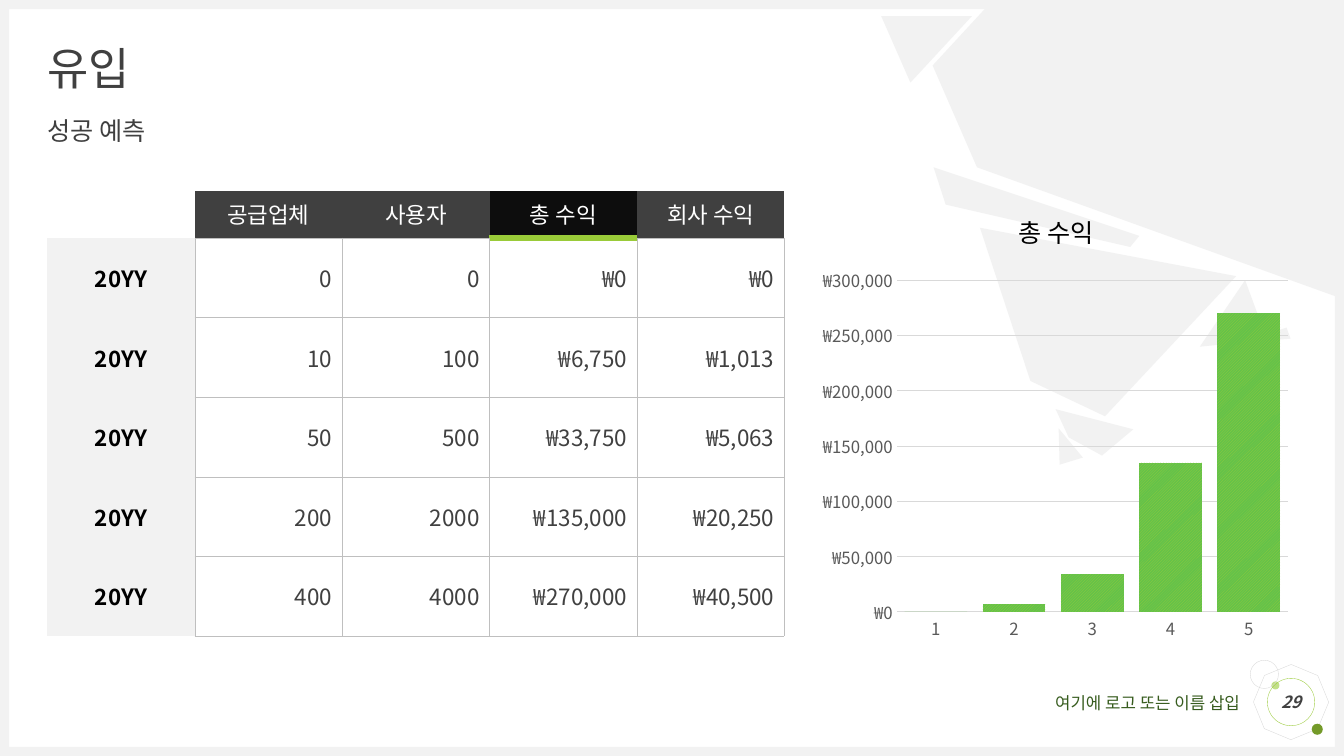
from lxml import etree
from pptx import Presentation
from pptx.chart.data import CategoryChartData
from pptx.dml.color import RGBColor
from pptx.enum.chart import XL_CHART_TYPE, XL_TICK_MARK
from pptx.enum.dml import MSO_PATTERN
from pptx.enum.shapes import MSO_SHAPE
from pptx.enum.text import MSO_ANCHOR, MSO_AUTO_SIZE, PP_ALIGN
from pptx.oxml import parse_xml
from pptx.oxml.ns import nsdecls, qn
from pptx.util import Inches, Pt

rgb = RGBColor.from_string
FONT = "Noto Sans CJK KR"
WIDTH, HEIGHT, MARGIN, EDGE = 13.33, 7.5, 0.47, 0.09
PALE, GRAY, DARK = "F2F2F2", "BFBFBF", "404040"
LIME, GREEN = "9ACB39", "64C24A"


def paint(shape, fill=None, line=None):
    shape.shadow.inherit = False
    if fill:
        shape.fill.solid()
        shape.fill.fore_color.rgb = rgb(fill)
    else:
        shape.fill.background()
    if line:
        shape.line.color.rgb = rgb(line)
        shape.line.width = Pt(0.25)
    else:
        shape.line.fill.background()


def write(text_frame, text, size, color, align, bold=False, italic=False):
    """Set a single paragraph and its font, for Latin and Korean alike."""
    text_frame.text = text
    paragraph = text_frame.paragraphs[0]
    paragraph.alignment = align
    run = paragraph.runs[0]
    run.font.size, run.font.name = Pt(size), FONT
    run.font.bold, run.font.italic = bold, italic
    run.font.color.rgb = rgb(color)
    etree.SubElement(run._r.get_or_add_rPr(), qn("a:ea"), typeface=FONT)


presentation = Presentation()
presentation.slide_width, presentation.slide_height = Inches(WIDTH), Inches(HEIGHT)
slide = presentation.slides.add_slide(presentation.slide_layouts[1])
shapes = slide.shapes

# Frame and page-number ornament
frame_and_ornament = [
    (MSO_SHAPE.OCTAGON, 12.46, 6.62, 0.69, 0.69, None, "D9D9D9"),
    (MSO_SHAPE.OVAL, 12.61, 6.76, 0.08, 0.08, "C2E088", None),
    (MSO_SHAPE.OVAL, 13.01, 7.18, 0.11, 0.11, "749A29", None),
    (MSO_SHAPE.OVAL, 12.4, 6.55, 0.28, 0.28, None, "D9D9D9"),
    (MSO_SHAPE.RECTANGLE, 0, HEIGHT - EDGE, WIDTH, EDGE, PALE, None),
    (MSO_SHAPE.RECTANGLE, 0, 0, WIDTH, EDGE, PALE, None),
    (MSO_SHAPE.RECTANGLE, 0, 0, EDGE, HEIGHT, PALE, None),
    (MSO_SHAPE.RECTANGLE, WIDTH - EDGE, 0, EDGE, HEIGHT, PALE, None),
]
for kind, left, top, width, height, fill, line in frame_and_ornament:
    shape = shapes.add_shape(kind, Inches(left), Inches(top), Inches(width), Inches(height))
    paint(shape, fill, line)
    if kind == MSO_SHAPE.OCTAGON:
        shape.rotation = 22.7

# Shards behind the chart
shards = [
    [(8.74, 0.16), (9.64, 0.16), (9.03, 0.82)],
    [(9.85, 0), (13.33, 0), (13.33, 2.97), (9.69, 1.66), (9.25, 0.65)],
    [(9.72, 2.26), (12.26, 2.74), (10.96, 4.13), (10.22, 3.78)],
    [(10.5, 4.25), (10.74, 4.54), (10.51, 4.61)],
    [(10.47, 4.06), (11.24, 4.26), (10.93, 4.52), (10.6, 4.34)],
    [(9.26, 1.66), (11.3, 2.34), (11.21, 2.45), (9.38, 2.03)],
    [(12.76, 3.25), (12.8, 3.36), (12.32, 3.4)],
    [(12.35, 2.78), (12.53, 3.27), (12.1, 3.42), (11.9, 3.44)],
]
for shard in shards:
    first, *others = [(Inches(x), Inches(y)) for x, y in shard]
    builder = shapes.build_freeform(*first)
    builder.add_line_segments(others)
    paint(builder.convert_to_shape(), PALE)

# Title and subtitle
headings = [
    (shapes.title, "유입", 0.47, 0.47, 32, MSO_ANCHOR.MIDDLE),
    (slide.placeholders[1], "성공 예측", 1.18, 0.3, 18, MSO_ANCHOR.TOP),
]
for holder, text, top, height, size, anchor in headings:
    holder.left, holder.top = Inches(MARGIN), Inches(top)
    holder.width, holder.height = Inches(12.4), Inches(height)
    frame = holder.text_frame
    frame.margin_left = frame.margin_right = frame.margin_top = frame.margin_bottom = 0
    frame.auto_size, frame.vertical_anchor = MSO_AUTO_SIZE.NONE, anchor
    write(frame, text, size, DARK, PP_ALIGN.LEFT)
    paragraph = frame.paragraphs[0]
    properties = paragraph._p.get_or_add_pPr()
    properties.set("marL", "0")
    properties.set("indent", "0")
    etree.SubElement(properties, qn("a:buNone"))
    paragraph.line_spacing, paragraph.space_before = 0.9, Pt(0)

# Revenue table
rows = [
    ["", "공급업체", "사용자", "총 수익", "회사 수익"],
    ["20YY", "0", "0", "₩0", "₩0"],
    ["20YY", "10", "100", "₩6,750", "₩1,013"],
    ["20YY", "50", "500", "₩33,750", "₩5,063"],
    ["20YY", "200", "2000", "₩135,000", "₩20,250"],
    ["20YY", "400", "4000", "₩270,000", "₩40,500"],
]
HIGHLIGHT = 3
table = shapes.add_table(len(rows), len(rows[0]), Inches(MARGIN), Inches(1.89),
                         Inches(7.31), Inches(4.42)).table
table.first_row = table.horz_banding = False
for r, row in enumerate(rows):
    table.rows[r].height = Inches(0.79 if r else 0.47)
    for c, text in enumerate(row):
        cell = table.cell(r, c)
        cell.vertical_anchor = MSO_ANCHOR.MIDDLE
        thin, accent = (GRAY, 0.25), (LIME, 4.5)
        if r and c:
            fill, color, align = "FFFFFF", DARK, PP_ALIGN.RIGHT
            top = accent if (r, c) == (1, HIGHLIGHT) else thin
            borders = {"L": thin, "R": thin, "T": top, "B": thin}
        elif r:
            fill, color, align = PALE, "000000", PP_ALIGN.CENTER
            borders = {"R": thin}
        elif c:
            fill, color, align = DARK, "FFFFFF", PP_ALIGN.CENTER
            borders = {"B": thin}
            if c == HIGHLIGHT:
                fill, borders = "0D0D0D", {"B": accent}
        else:
            fill, borders = "FFFFFF", {}
        for side in "LRTB":
            line = etree.SubElement(cell._tc.get_or_add_tcPr(), qn(f"a:ln{side}"))
            if side in borders:
                line_color, points = borders[side]
                line.set("w", str(Pt(points)))
                solid = etree.SubElement(line, qn("a:solidFill"))
                etree.SubElement(solid, qn("a:srgbClr"), val=line_color)
            else:
                etree.SubElement(line, qn("a:noFill"))
        cell.fill.solid()
        cell.fill.fore_color.rgb = rgb(fill)
        if text:
            write(cell.text_frame, text, 16, color, align, bold=c == 0)

# Total revenue chart
data = CategoryChartData()
data.categories = ["1", "2", "3", "4", "5"]
data.add_series("총 수익", [0, 7000, 34000, 135000, 270000])
chart = shapes.add_chart(XL_CHART_TYPE.COLUMN_CLUSTERED, Inches(8.08), Inches(1.89),
                         Inches(4.79), Inches(4.57), data).chart
chart.has_legend = False
chart.font.name, chart.font.size = FONT, Pt(10)
chart.has_title = True
write(chart.chart_title.text_frame, "총 수익", 18, "000000", PP_ALIGN.CENTER)
plot = chart.plots[0]
plot.gap_width, plot.vary_by_categories = 25, False
bar_fill = plot.series[0].format.fill
bar_fill.patterned()
bar_fill.pattern = MSO_PATTERN.DARK_UPWARD_DIAGONAL
bar_fill.fore_color.rgb, bar_fill.back_color.rgb = rgb(LIME), rgb(GREEN)

values, categories = chart.value_axis, chart.category_axis
for axis in (values, categories):
    axis.major_tick_mark = axis.minor_tick_mark = XL_TICK_MARK.NONE
    font = axis.tick_labels.font
    font.name, font.size, font.color.rgb = FONT, Pt(12), rgb("595959")
values.minimum_scale, values.maximum_scale, values.major_unit = 0, 300000, 50000
values.tick_labels.number_format = '"₩"#,##0'
values.tick_labels.number_format_is_linked = False
values.format.line.fill.background()
for line in (values.major_gridlines.format.line, categories.format.line):
    line.color.rgb, line.width = rgb("D9D9D9"), Pt(0.75)

plot_area = chart._chartSpace.chart.plotArea
for layout in plot_area.findall(qn("c:layout")):
    plot_area.remove(layout)
plot_area.insert(0, parse_xml(
    f'<c:layout {nsdecls("c")}><c:manualLayout><c:layoutTarget val="inner"/>'
    '<c:xMode val="edge"/><c:yMode val="edge"/><c:x val="0.17"/><c:y val="0.195"/>'
    '<c:w val="0.81"/><c:h val="0.72"/></c:manualLayout></c:layout>'))

# Footer and page number
footer = shapes.add_textbox(Inches(9.55), Inches(6.87), Inches(2.75), Inches(0.2))
badge = shapes.add_shape(MSO_SHAPE.OVAL, Inches(12.57), Inches(6.73), Inches(0.47), Inches(0.47))
paint(badge, line=LIME)
for shape in (footer, badge):
    frame = shape.text_frame
    frame.margin_left = frame.margin_right = frame.margin_top = frame.margin_bottom = 0
    frame.word_wrap = True
badge.text_frame.vertical_anchor = MSO_ANCHOR.MIDDLE
write(footer.text_frame, "여기에 로고 또는 이름 삽입", 12, "375C1E", PP_ALIGN.RIGHT)
write(badge.text_frame, "29", 12, DARK, PP_ALIGN.CENTER, bold=True, italic=True)

presentation.save("out.pptx")
